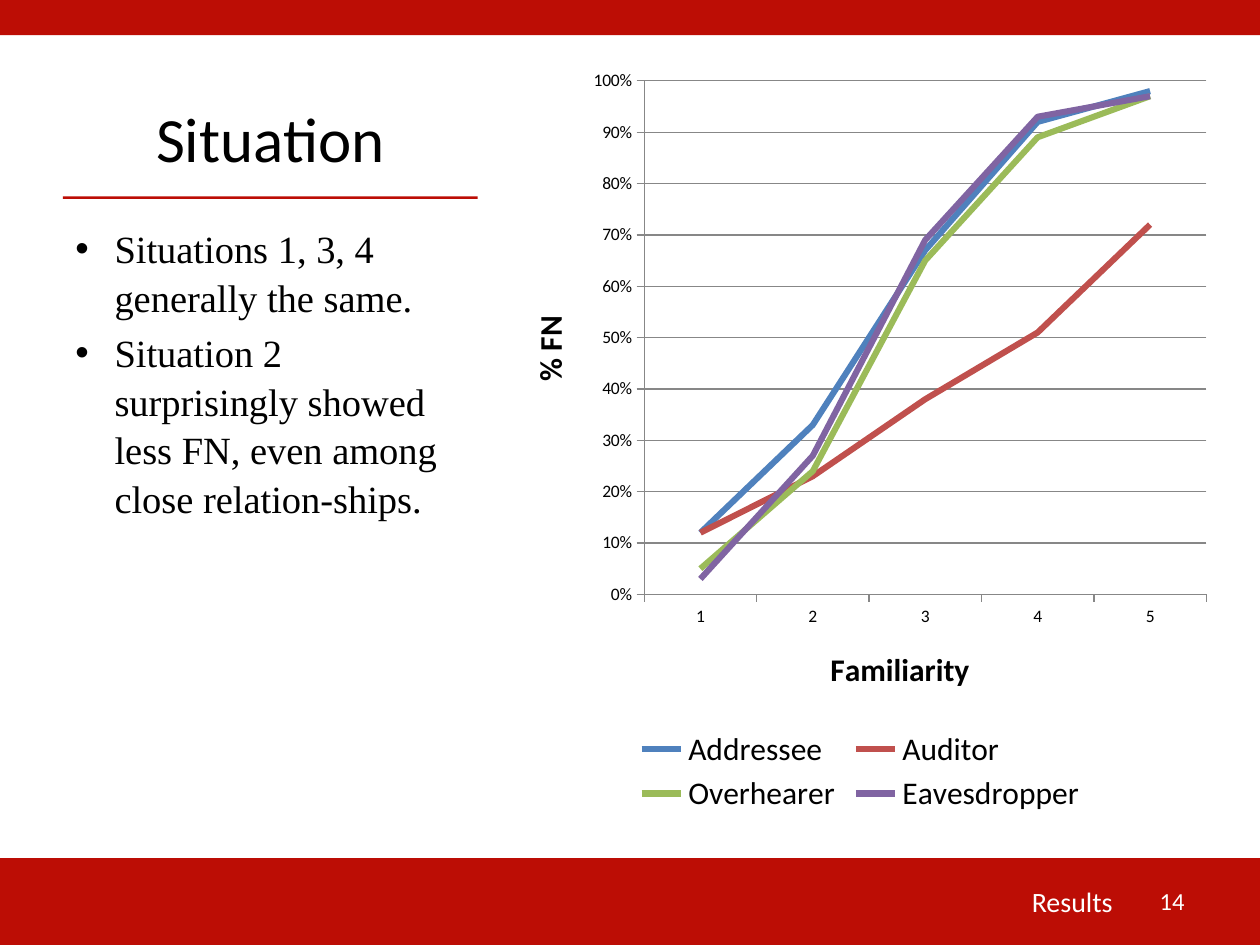
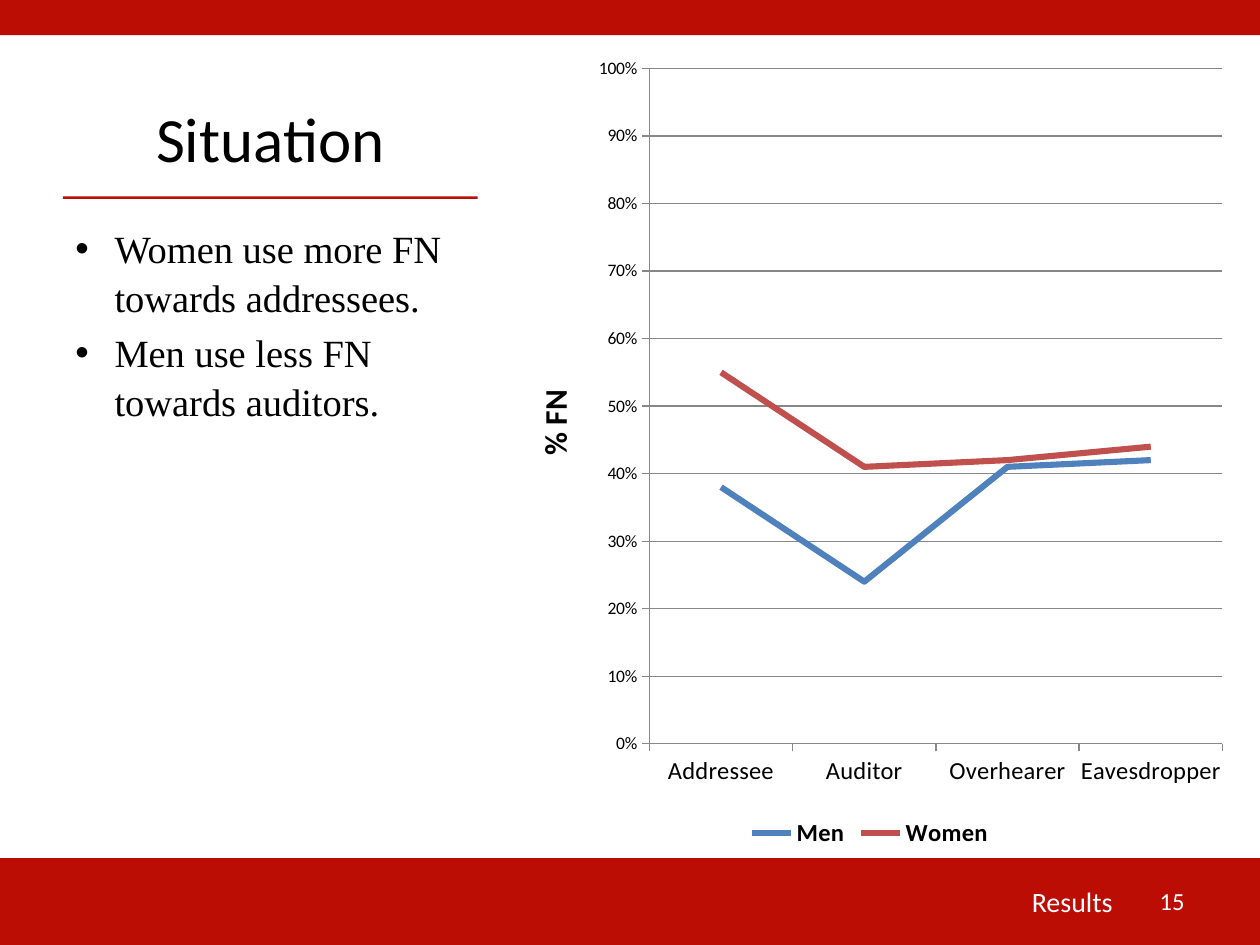
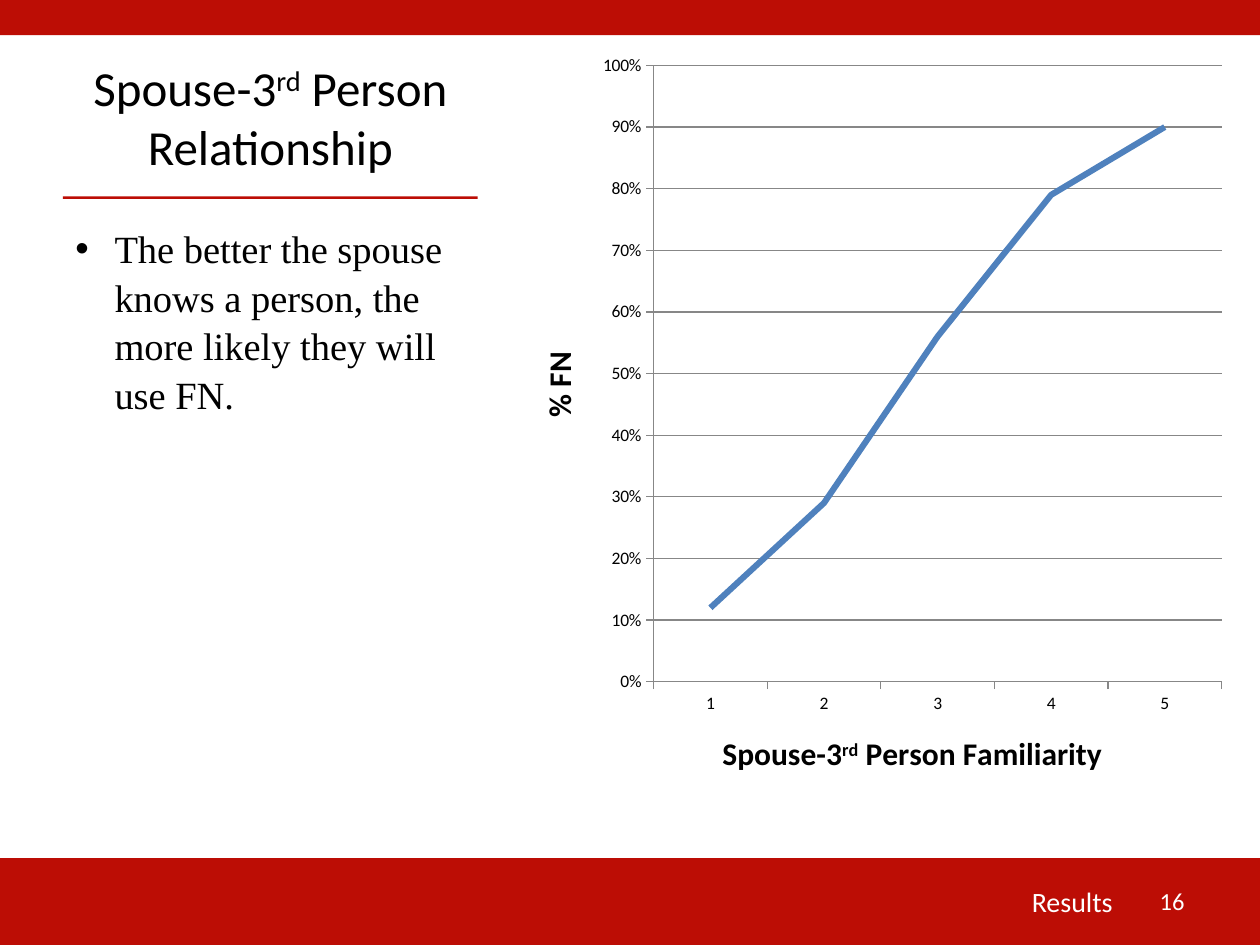
from dataclasses import dataclass

from lxml.etree import SubElement
from pptx import Presentation
from pptx.chart.data import CategoryChartData
from pptx.dml.color import RGBColor
from pptx.enum.chart import XL_CHART_TYPE, XL_LEGEND_POSITION, XL_TICK_MARK
from pptx.enum.shapes import MSO_SHAPE
from pptx.enum.text import MSO_ANCHOR, PP_ALIGN
from pptx.oxml import parse_xml
from pptx.oxml.ns import nsdecls, qn
from pptx.util import Cm, Pt


@dataclass(frozen=True)
class Theme:
    red: str = "BC0D05"
    ink: str = "000000"
    paper: str = "FFFFFF"
    grid: str = "878787"
    series: tuple = ("4F81BD", "C0504D", "9BBB59", "8064A2")
    heading_font: str = "Calibri"
    body_font: str = "Times New Roman"
    title: int = 36
    long_title: int = 28
    body: int = 22
    section: int = 16
    number: int = 14
    axis: int = 10
    axis_title: int = 18
    line: float = 3.5


@dataclass(frozen=True)
class Box:
    left: float
    top: float
    width: float
    height: float

    def inner(self, left, top, width, height):
        return Box(self.left + left, self.top + top, width, height)

    def lengths(self):
        return Cm(self.left), Cm(self.top), Cm(self.width), Cm(self.height)


@dataclass(frozen=True)
class Finding:
    title: str
    title_size: int
    points: tuple
    number: int
    chart_box: Box
    plot_height: float
    categories: tuple
    series: dict
    category_title: str = ""
    category_size: int = 10
    legend_size: int = 0
    legend_bold: bool = False


THEME = Theme()
PAGE = Box(0, 0, 25.4, 19.05)
HEADER = PAGE.inner(0, 0, 25.4, 0.71)
FOOTER = PAGE.inner(0, 17.3, 25.4, 1.75)
TEXT_PANEL = PAGE.inner(1.27, 0.76, 8.36, 16.26)
FAMILIARITY = ("1", "2", "3", "4", "5")

FINDINGS = (
    Finding(
        "Situation", THEME.title,
        ("Situations 1, 3, 4 generally the same.",
         "Situation 2 surprisingly showed less FN, even among close relation-ships."),
        14, Box(10.08, 1.17, 14.53, 15.34), 0.675, FAMILIARITY,
        {"Addressee": (0.12, 0.33, 0.67, 0.92, 0.98),
         "Auditor": (0.12, 0.23, 0.38, 0.51, 0.72),
         "Overhearer": (0.05, 0.24, 0.65, 0.89, 0.97),
         "Eavesdropper": (0.03, 0.27, 0.69, 0.93, 0.97)},
        category_title="Familiarity", legend_size=18),
    Finding(
        "Situation", THEME.title,
        ("Women use more FN towards addressees.",
         "Men use less FN towards auditors."),
        15, Box(10.13, 0.89, 14.81, 16.31), 0.835,
        ("Addressee", "Auditor", "Overhearer", "Eavesdropper"),
        {"Men": (0.38, 0.24, 0.41, 0.42),
         "Women": (0.55, 0.41, 0.42, 0.44)},
        category_size=14, legend_size=14, legend_bold=True),
    Finding(
        "Spouse-3^rd^ Person Relationship", THEME.long_title,
        ("The better the spouse knows a person, the more likely they will use FN.",),
        16, Box(10.24, 0.86, 14.68, 15.34), 0.81, FAMILIARITY,
        {"Series 1": (0.12, 0.29, 0.56, 0.79, 0.9)},
        category_title="Spouse-3^rd^ Person Familiarity"),
)


def set_font(font, size, color=THEME.ink, name=THEME.heading_font, bold=False):
    font.size = Pt(size)
    font.name = name
    font.bold = bold
    font.color.rgb = RGBColor.from_string(color)


def write(paragraph, text):
    for index, piece in enumerate(text.split("^")):
        run = paragraph.add_run()
        run.text = piece
        if index % 2:
            run.font._element.set("baseline", "30000")


def add_bar(slide, box):
    bar = slide.shapes.add_shape(MSO_SHAPE.RECTANGLE, *box.lengths())
    bar.shadow.inherit = False
    bar.fill.solid()
    bar.fill.fore_color.rgb = RGBColor.from_string(THEME.red)
    bar.line.fill.background()


def add_text(slide, box, texts, size, color=THEME.ink, name=THEME.heading_font,
             align=PP_ALIGN.LEFT, anchor=MSO_ANCHOR.TOP):
    frame = slide.shapes.add_textbox(*box.lengths()).text_frame
    frame.word_wrap = True
    frame.vertical_anchor = anchor
    for index, text in enumerate(texts):
        paragraph = frame.add_paragraph() if index else frame.paragraphs[0]
        paragraph.alignment = align
        set_font(paragraph.font, size, color, name)
        write(paragraph, text)
    return frame.paragraphs


def add_bullet(paragraph):
    paragraph.line_spacing = 1.05
    paragraph.space_before = Pt(4)
    properties = paragraph._p.get_or_add_pPr()
    properties.set("marL", str(Cm(0.79)))
    properties.set("indent", str(Cm(-0.79)))
    default_font = properties.find(qn("a:defRPr"))
    bullet_font = SubElement(properties, qn("a:buFont"), typeface="Arial")
    bullet = SubElement(properties, qn("a:buChar"), char="•")
    default_font.addprevious(bullet_font)
    default_font.addprevious(bullet)


def add_text_panel(slide, box, finding):
    add_text(slide, box.inner(0, 0, box.width, 2.9), [finding.title],
             finding.title_size, align=PP_ALIGN.CENTER, anchor=MSO_ANCHOR.BOTTOM)
    add_bar(slide, box.inner(0, 3.2, box.width, 0.05))
    points = add_text(slide, box.inner(0, 3.61, box.width, box.height - 3.61),
                      finding.points, THEME.body, name=THEME.body_font)
    for point in points:
        add_bullet(point)


def add_footer(slide, box, number):
    add_bar(slide, box)
    labels = (("Results", 14.63, 8.05, THEME.section),
              (str(number), 22.78, 1.35, THEME.number))
    for label, left, width, size in labels:
        add_text(slide, box.inner(left, 0.35, width, 1.02), [label], size,
                 THEME.paper, align=PP_ALIGN.RIGHT, anchor=MSO_ANCHOR.MIDDLE)


def place_plot(chart, height):
    plot_area = chart._chartSpace.chart.plotArea
    for layout in plot_area.findall(qn("c:layout")):
        plot_area.remove(layout)
    lengths = {"x": 0.2, "y": 0.03, "w": 0.78, "h": height}
    edges = "".join(f'<c:{key} val="{value}"/>' for key, value in lengths.items())
    plot_area.insert(0, parse_xml(
        f'<c:layout {nsdecls("c")}><c:manualLayout><c:layoutTarget val="inner"/>'
        f'<c:xMode val="edge"/><c:yMode val="edge"/>{edges}'
        f'</c:manualLayout></c:layout>'))


def style_axis(axis, title, size):
    axis.major_tick_mark = XL_TICK_MARK.OUTSIDE
    axis.minor_tick_mark = XL_TICK_MARK.NONE
    axis.format.line.color.rgb = RGBColor.from_string(THEME.grid)
    set_font(axis.tick_labels.font, size)
    axis.has_title = bool(title)
    if title:
        paragraph = axis.axis_title.text_frame.paragraphs[0]
        set_font(paragraph.font, THEME.axis_title, bold=True)
        write(paragraph, title)


def add_line_chart(slide, box, finding):
    data = CategoryChartData(number_format="0%")
    data.categories = finding.categories
    for name, values in finding.series.items():
        data.add_series(name, values)
    chart = slide.shapes.add_chart(XL_CHART_TYPE.LINE, *box.lengths(), data).chart
    chart.has_title = False
    set_font(chart.font, THEME.axis)
    chart.plots[0].vary_by_categories = False
    for line, color in zip(chart.plots[0].series, THEME.series):
        line.smooth = False
        line.format.line.width = Pt(THEME.line)
        line.format.line.color.rgb = RGBColor.from_string(color)

    style_axis(chart.category_axis, finding.category_title, finding.category_size)
    share = chart.value_axis
    style_axis(share, "% FN", THEME.axis)
    share.minimum_scale, share.maximum_scale, share.major_unit = 0, 1, 0.1
    share.has_major_gridlines = True
    share.major_gridlines.format.line.color.rgb = RGBColor.from_string(THEME.grid)
    share.tick_labels.number_format = "0%"
    share.tick_labels.number_format_is_linked = False

    chart.has_legend = bool(finding.legend_size)
    if chart.has_legend:
        chart.legend.position = XL_LEGEND_POSITION.BOTTOM
        chart.legend.include_in_layout = False
        set_font(chart.legend.font, finding.legend_size, bold=finding.legend_bold)
    place_plot(chart, finding.plot_height)


def add_finding(deck, finding):
    slide = deck.slides.add_slide(deck.slide_layouts[6])
    add_bar(slide, HEADER)
    add_footer(slide, FOOTER, finding.number)
    add_text_panel(slide, TEXT_PANEL, finding)
    add_line_chart(slide, finding.chart_box, finding)


def main():
    deck = Presentation()
    deck.slide_width, deck.slide_height = Cm(PAGE.width), Cm(PAGE.height)
    for finding in FINDINGS:
        add_finding(deck, finding)
    deck.save("out.pptx")


if __name__ == "__main__":
    main()
